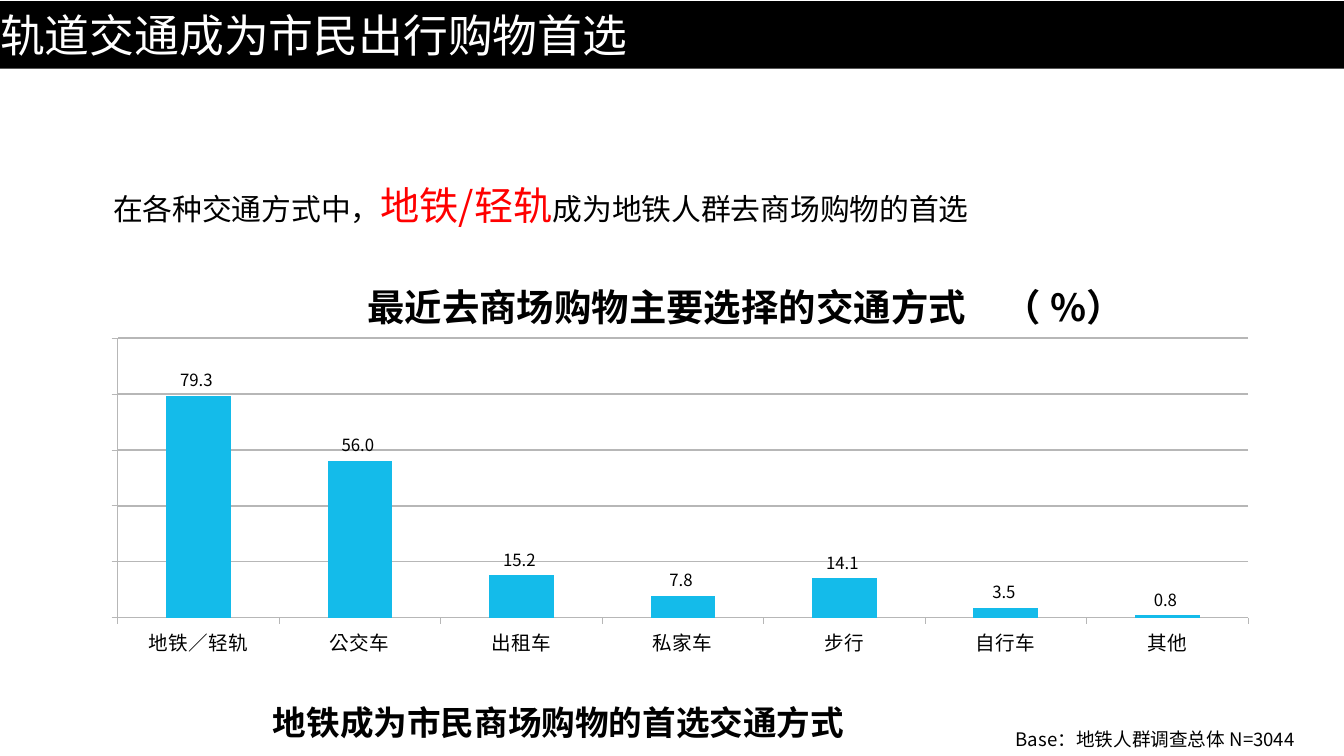
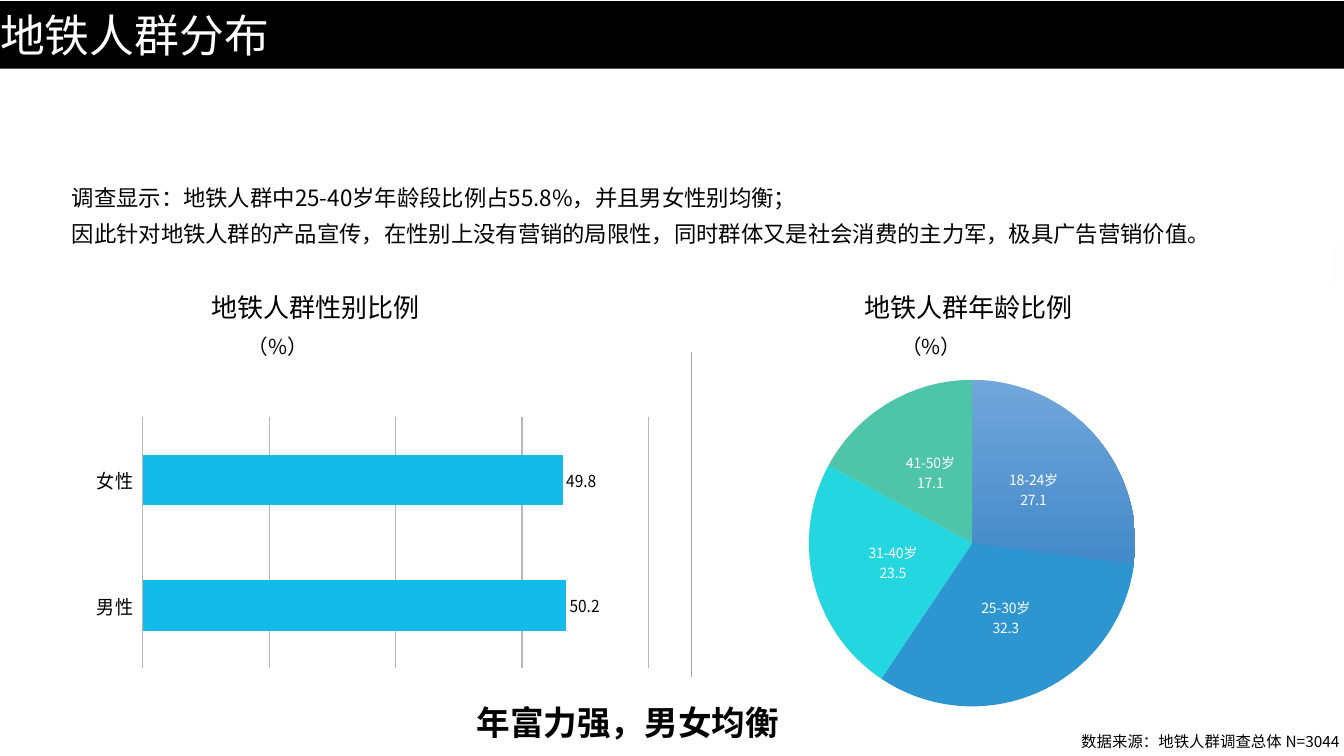
"""Build two slides on how metro riders travel to shop and who they are."""
from lxml.etree import SubElement
from pptx import Presentation
from pptx.chart.data import CategoryChartData
from pptx.dml.color import RGBColor
from pptx.enum.chart import XL_CHART_TYPE, XL_LABEL_POSITION, XL_TICK_LABEL_POSITION, XL_TICK_MARK
from pptx.enum.shapes import MSO_CONNECTOR
from pptx.enum.text import MSO_ANCHOR, MSO_AUTO_SIZE, PP_ALIGN
from pptx.oxml.ns import qn
from pptx.util import Cm, Pt

SC, TC = "Noto Sans CJK SC", "Noto Sans CJK TC"
BLACK, WHITE, RED = "000000", "FFFFFF", "FF0000"
BAR, GRID, DIVIDER, CORNER = "14BBEA", "B7B7B7", "A6A6A6", "E0E0E0"
SLIDE_SIZE = (33.87, 19.05)
BAND = (0, 0.03, 33.87, 1.7)
TAKEAWAY_TOP, TAKEAWAY_HEIGHT = 17.55, 1.27
FILLED_PLOT = (0.005, 0.005, 0.99, 0.988)

TRAVEL = {
    "title": "轨道交通成为市民出行购物首选",
    "lead": [("在各种交通方式中，", 21.3, BLACK), ("地铁/轻轨", 28, RED),
             ("成为地铁人群去商场购物的首选", 21.3, BLACK)],
    "heading": "最近去商场购物主要选择的交通方式　（ %）",
    "takeaway": ("地铁成为市民商场购物的首选交通方式", 6.63, 15.04),
    "base": "Base：地铁人群调查总体 N=3044",
    "modes": [("地铁／轻轨", 79.3), ("公交车", 56), ("出租车", 15.2), ("私家车", 7.8),
              ("步行", 14.1), ("自行车", 3.5), ("其他", 0.8)],
}
RIDERS = {
    "title": "地铁人群分布",
    "findings": ["调查显示：地铁人群中25-40岁年龄段比例占55.8%，并且男女性别均衡；",
                 "因此针对地铁人群的产品宣传，在性别上没有营销的局限性，"
                 "同时群体又是社会消费的主力军，极具广告营销价值。"],
    "headings": [("地铁人群性别比例", 3.15), ("地铁人群年龄比例", 19.61)],
    "unit": "（%）",
    "takeaway": ("年富力强，男女均衡", 11.76, 8.2),
    "base": "数据来源：地铁人群调查总体 N=3044",
    "genders": [("女性", 49.8), ("男性", 50.2)],
    "ages": [("18-24岁", 27.1), ("25-30岁", 32.3), ("31-40岁", 23.5), ("41-50岁", 17.1)],
}
AGE_GRADIENT = ("71A6DB", "438AC9")
AGE_COLORS = ("2D96D1", "24D6DF", "4EC4A8")
CORNER_POINTS = [(33.58, 6.43), (33.63, 6.25), (33.86, 6.06), (33.86, 7.11), (33.58, 7.11)]


def rgb(color):
    return RGBColor.from_string(color)


def cms(lengths):
    return [Cm(length) for length in lengths]


def style_font(font, size, color=BLACK, name=TC, bold=False):
    font.size, font.name, font.bold = Pt(size), name, bold
    font.color.rgb = rgb(color)
    latin = font._rPr.find(qn("a:latin"))
    east_asian = SubElement(font._rPr, qn("a:ea"), typeface=name)
    latin.addnext(east_asian)


def add_text(slide, box, paragraphs, inset=0.13, name=TC, bold=False,
             align=PP_ALIGN.LEFT, wrap=True, spacing=None, before=0):
    """Add a text box whose paragraphs are lists of (text, size, colour) runs."""
    frame = slide.shapes.add_textbox(*cms(box)).text_frame
    frame.word_wrap = wrap
    frame.margin_left = frame.margin_right = Cm(inset)
    frame.margin_top = frame.margin_bottom = Cm(min(inset, 0.13))
    for index, runs in enumerate(paragraphs):
        paragraph = frame.add_paragraph() if index else frame.paragraphs[0]
        paragraph.alignment = align
        if spacing:
            paragraph.line_spacing = spacing
        if index:
            paragraph.space_before = Pt(before)
        for text, size, color in runs:
            run = paragraph.add_run()
            run.text = text
            style_font(run.font, size, color, name, bold)
    return frame


def add_titled_slide(deck, content):
    slide = deck.slides.add_slide(deck.slide_layouts[5])
    title = slide.shapes.title
    title.left, title.top, title.width, title.height = cms(BAND)
    title.fill.solid()
    title.fill.fore_color.rgb = rgb(BLACK)
    frame = title.text_frame
    frame.text = content["title"]
    frame.auto_size = MSO_AUTO_SIZE.NONE
    frame.vertical_anchor = MSO_ANCHOR.MIDDLE
    frame.margin_left = frame.margin_right = frame.margin_top = frame.margin_bottom = 0
    frame.paragraphs[0].alignment = PP_ALIGN.LEFT
    style_font(frame.paragraphs[0].runs[0].font, 32, WHITE, SC)
    takeaway, left, width = content["takeaway"]
    add_text(slide, (left, TAKEAWAY_TOP, width, TAKEAWAY_HEIGHT), [[(takeaway, 24, BLACK)]],
             inset=0.25, name=SC, bold=True, wrap=False)
    return slide


def add_chart(slide, kind, box, pairs, plot_box, number_format, label_size,
              label_color=BLACK, label_position=XL_LABEL_POSITION.OUTSIDE_END):
    """Add a one-series chart with value labels and a fixed inner plot area."""
    data = CategoryChartData()
    data.categories = [category for category, _ in pairs]
    data.add_series("Series 1", [value for _, value in pairs])
    chart = slide.shapes.add_chart(kind, *cms(box), data).chart
    chart.has_legend = chart.has_title = False
    style_font(chart.font, 10, name="Calibri")
    plot = chart.plots[0]
    plot.has_data_labels = True
    labels = plot.data_labels
    labels.show_value = True
    labels.position = label_position
    labels.number_format, labels.number_format_is_linked = number_format, False
    style_font(labels.font, label_size, label_color)

    area = chart._chartSpace.chart.plotArea
    for layout in area.findall(qn("c:layout")):
        area.remove(layout)
    layout = SubElement(area, qn("c:layout"))
    area.insert(0, layout)
    manual = SubElement(layout, qn("c:manualLayout"))
    settings = [("layoutTarget", "inner"), ("xMode", "edge"), ("yMode", "edge"),
                *zip("xywh", plot_box)]
    for tag, value in settings:
        SubElement(manual, qn("c:" + tag), val=str(value))
    return chart


def add_bars(slide, kind, box, pairs, plot_box, number_format, top, step, axis_line):
    chart = add_chart(slide, kind, box, pairs, plot_box, number_format, 12)
    plot = chart.plots[0]
    plot.gap_width, plot.vary_by_categories = 150, False
    fill = plot.series[0].format.fill
    fill.solid()
    fill.fore_color.rgb = rgb(BAR)
    categories, values = chart.category_axis, chart.value_axis
    for axis in (categories, values):
        axis.major_tick_mark, axis.minor_tick_mark = XL_TICK_MARK.OUTSIDE, XL_TICK_MARK.NONE
        line = axis.format.line
        if axis_line:
            line.color.rgb, line.width = rgb(GRID), Pt(0.5)
        else:
            line.fill.background()
    style_font(categories.tick_labels.font, 14)
    values.tick_label_position = XL_TICK_LABEL_POSITION.NONE
    values.minimum_scale, values.maximum_scale, values.major_unit = 0, top, step
    values.has_major_gridlines = True
    gridline = values.major_gridlines.format.line
    gridline.color.rgb, gridline.width = rgb(GRID), Pt(1)
    return chart


def add_age_pie(slide):
    chart = add_chart(slide, XL_CHART_TYPE.PIE, (19.1, 9.53, 10.8, 8.33), RIDERS["ages"],
                      FILLED_PLOT, "0.#", 10, WHITE, XL_LABEL_POSITION.CENTER)
    plot = chart.plots[0]
    plot.vary_by_categories = True
    labels = plot.data_labels
    labels.show_category_name, labels.show_percentage = True, False
    separator = SubElement(labels._element, qn("c:separator"))
    separator.text = "\n"
    labels._element.find(qn("c:showBubbleSize")).addnext(separator)
    points = plot.series[0].points
    youngest = points[0].format.fill
    youngest.gradient()
    youngest.gradient_angle = 270
    for stop, color in zip(youngest.gradient_stops, AGE_GRADIENT):
        stop.color.rgb = rgb(color)
    for index, color in enumerate(AGE_COLORS, 1):
        fill = points[index].format.fill
        fill.solid()
        fill.fore_color.rgb = rgb(color)


def add_corner(slide):
    start, *rest = [cms(point) for point in CORNER_POINTS]
    builder = slide.shapes.build_freeform(*start)
    builder.add_line_segments(rest)
    corner = builder.convert_to_shape()
    corner.shadow.inherit = False
    corner.line.fill.background()
    corner.fill.solid()
    corner.fill.fore_color.rgb = rgb(CORNER)
    color = corner._element.spPr.find(qn("a:solidFill"))[0]
    SubElement(color, qn("a:alpha"), val="5000")


def add_divider(slide):
    divider = slide.shapes.add_connector(MSO_CONNECTOR.STRAIGHT, *cms((17.42, 8.86, 17.42, 17.07)))
    divider.line.color.rgb, divider.line.width = rgb(DIVIDER), Pt(0.25)
    SubElement(divider._element.spPr, qn("a:effectLst"))


def build_travel(deck):
    slide = add_titled_slide(deck, TRAVEL)
    chart = add_bars(slide, XL_CHART_TYPE.COLUMN_CLUSTERED, (2.26, 5.54, 29.34, 12.17),
                     TRAVEL["modes"], (0.024, 0.245, 0.971, 0.579), '0.0" "', 100, 20, True)
    chart.category_axis.tick_label_position = XL_TICK_LABEL_POSITION.LOW
    add_text(slide, (2.72, 4.19, 23.22, 1.7), [TRAVEL["lead"]], spacing=1.2)
    add_text(slide, (6.63, 7.04, 24.31, 1.4), [[(TRAVEL["heading"], 26.7, BLACK)]],
             inset=0.25, bold=True, align=PP_ALIGN.CENTER)
    add_text(slide, (24.71, 18.21, 8.05, 0.84), [[(TRAVEL["base"], 13.3, BLACK)]],
             align=PP_ALIGN.RIGHT)


def build_riders(deck):
    slide = add_titled_slide(deck, RIDERS)
    add_corner(slide)
    chart = add_bars(slide, XL_CHART_TYPE.BAR_CLUSTERED, (2.44, 10.36, 13.97, 6.53),
                     RIDERS["genders"], FILLED_PLOT, "0.#", 60, 15, False)
    chart.category_axis.reverse_order = True
    add_divider(slide)
    add_age_pie(slide)
    for heading, left in RIDERS["headings"]:
        frame = add_text(slide, (left, 7.21, 9.6, 1.96),
                         [[(heading, 18.6, BLACK)], [(RIDERS["unit"], 14.7, BLACK)]],
                         align=PP_ALIGN.CENTER, before=8)
        frame.vertical_anchor = MSO_ANCHOR.MIDDLE
        unit = frame.paragraphs[1]
        unit.alignment = PP_ALIGN.LEFT
        unit._p.get_or_add_pPr().set("marL", str(Cm(2.97)))
    add_text(slide, (1.68, 4.37, 30.91, 2.01),
             [[(finding, 16, BLACK)] for finding in RIDERS["findings"]],
             name=SC, spacing=1.2, before=3)
    add_text(slide, (26.39, 18.34, 7.47, 0.66), [[(RIDERS["base"], 11, BLACK)]],
             inset=0.1, name=SC, align=PP_ALIGN.RIGHT)


def main():
    deck = Presentation()
    deck.slide_width, deck.slide_height = cms(SLIDE_SIZE)
    build_travel(deck)
    build_riders(deck)
    deck.save("out.pptx")


if __name__ == "__main__":
    main()
